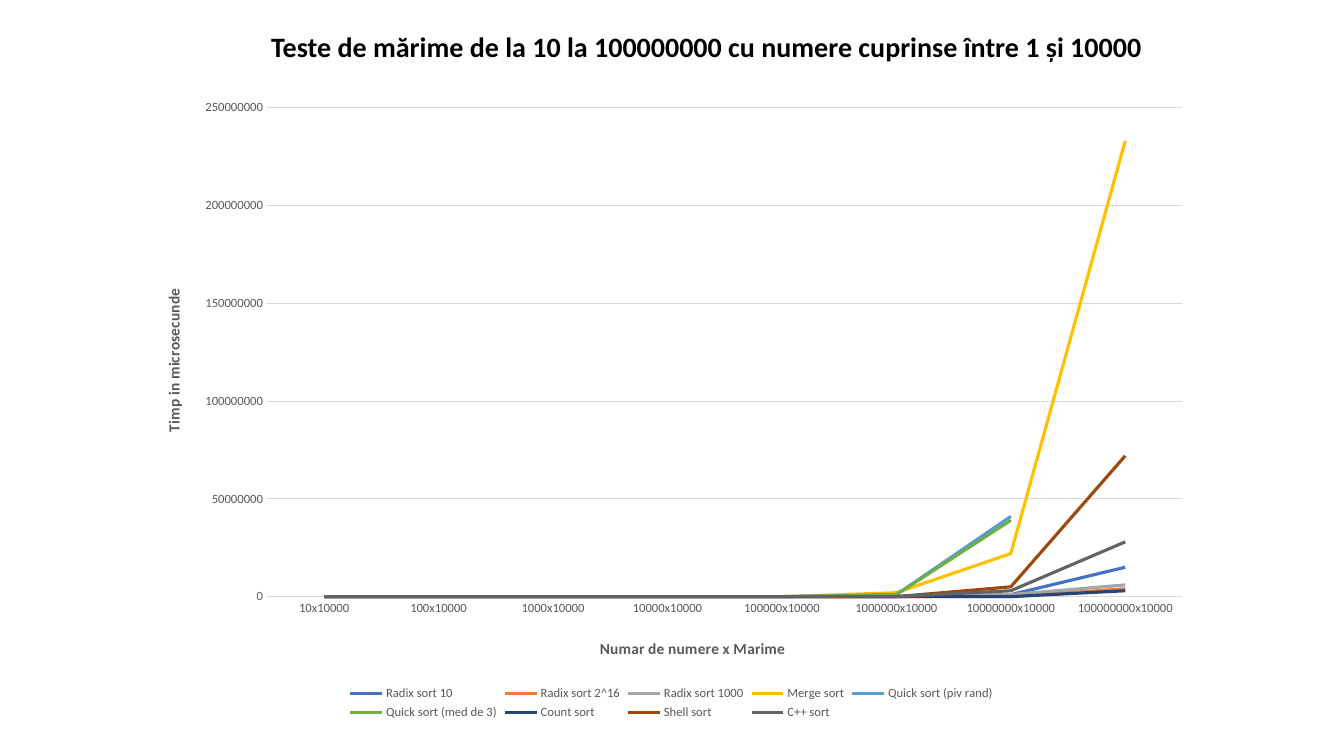
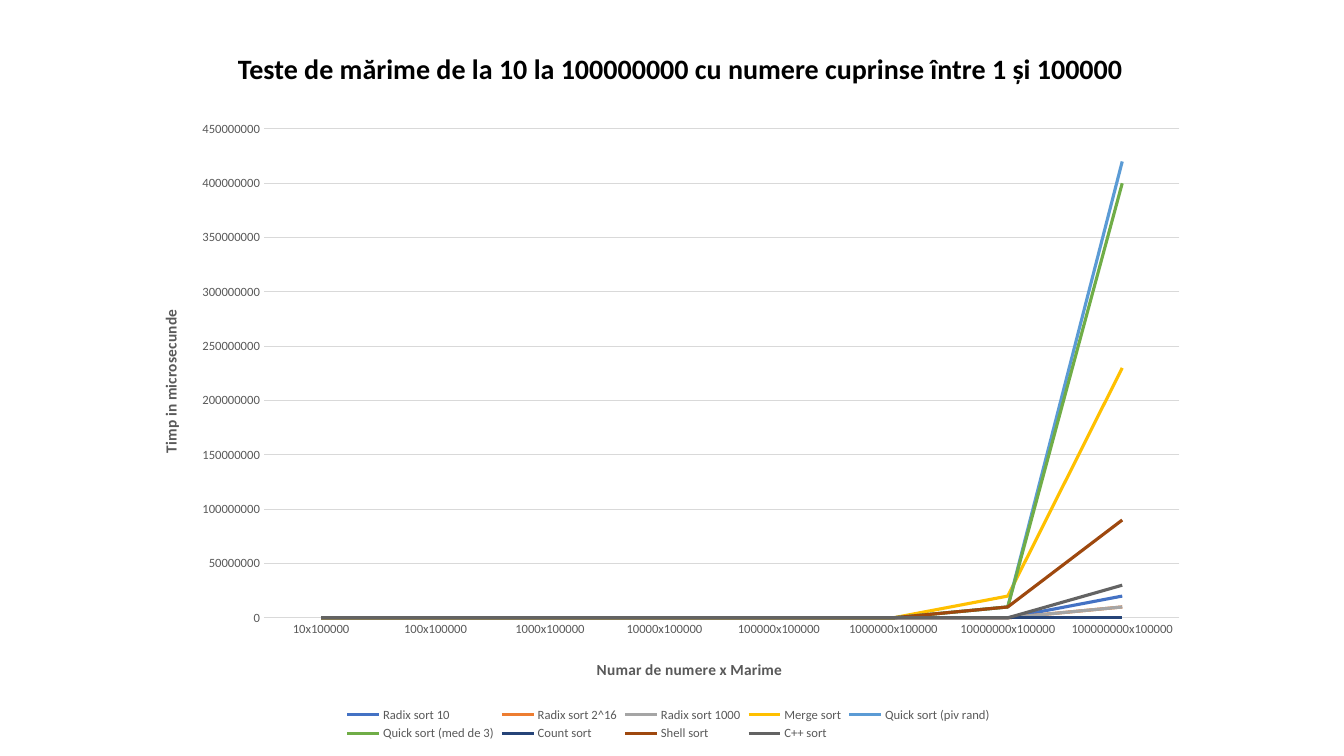
"""Build two slides of line charts comparing the running times of sorting algorithms."""
from lxml.etree import SubElement
from pptx import Presentation
from pptx.chart.data import CategoryChartData
from pptx.dml.color import RGBColor
from pptx.enum.chart import XL_CHART_TYPE, XL_LEGEND_POSITION, XL_TICK_MARK
from pptx.enum.text import MSO_ANCHOR, MSO_AUTO_SIZE, PP_ALIGN
from pptx.oxml.ns import qn
from pptx.util import Inches, Pt

FONT = "Calibri"
BLACK, GREY, GRID = "000000", "595959", "D9D9D9"
MILLION = 1000000
ALGORITHMS = [
    ("Radix sort 10", "4472C4"),
    ("Radix sort 2^16", "ED7D31"),
    ("Radix sort 1000", "A5A5A5"),
    ("Merge sort", "FFC000"),
    ("Quick sort (piv rand)", "5B9BD5"),
    ("Quick sort (med de 3)", "70AD47"),
    ("Count sort", "264478"),
    ("Shell sort", "9E480E"),
    ("C++ sort", "636363"),
]
TESTS = [
    {
        "limit": 10000,
        "title_at": (2.59, 0.24),
        "chart_at": (1.38, 0.88),
        "top": 250,
        "last_millions": [
            (0, 1, 15), (0, 0, 4), (0, 1, 6), (2, 22, 233), (1, 41, None),
            (1, 39, None), (0, 0, 3), (0, 5, 72), (0, 3, 28),
        ],
    },
    {
        "limit": 100000,
        "title_at": (2.26, 0.46),
        "chart_at": (1.35, 1.09),
        "top": 450,
        "last_millions": [
            (0, 0, 20), (0, 0, 10), (0, 0, 10), (0, 20, 230), (0, 10, 420),
            (0, 10, 400), (0, 0, 0), (0, 10, 90), (0, 0, 30),
        ],
    },
]


def style_font(font, size, color, bold=False):
    """Set the typeface, size, colour and weight of a font."""
    font.name = FONT
    font.size = Pt(size)
    font.bold = bold
    font.color.rgb = RGBColor.from_string(color)


def place_part(element, index, **fractions):
    """Fix a chart part at fractions of the chart area."""
    for old in element.findall(qn("c:layout")):
        element.remove(old)
    layout = SubElement(element, qn("c:layout"))
    element.insert(index, layout)
    manual = SubElement(layout, qn("c:manualLayout"))
    if "w" in fractions:
        SubElement(manual, qn("c:layoutTarget")).set("val", "inner")
    for name in ("xMode", "yMode"):
        SubElement(manual, qn("c:" + name)).set("val", "edge")
    for name, value in fractions.items():
        SubElement(manual, qn("c:" + name)).set("val", str(value))


deck = Presentation()
deck.slide_width, deck.slide_height = Inches(13.33), Inches(7.5)

for test in TESTS:
    page = deck.slides.add_slide(deck.slide_layouts[5])

    title = page.shapes.title
    title.left, title.top = [Inches(value) for value in test["title_at"]]
    title.width, title.height = Inches(10), Inches(0.44)
    frame = title.text_frame
    frame.word_wrap = True
    frame.auto_size = MSO_AUTO_SIZE.NONE
    frame.vertical_anchor = MSO_ANCHOR.MIDDLE
    para = frame.paragraphs[0]
    para.alignment = PP_ALIGN.LEFT
    span = para.add_run()
    span.text = f"Teste de mărime de la 10 la 100000000 cu numere cuprinse între 1 și {test['limit']}"
    style_font(span.font, 20, BLACK, True)

    data = CategoryChartData()
    data.categories = [f"{10 ** power}x{test['limit']}" for power in range(1, 9)]
    for (name, color), millions in zip(ALGORITHMS, test["last_millions"]):
        times = [None if value is None else value * MILLION for value in millions]
        data.add_series(name, [0] * 5 + times)
    left, top = test["chart_at"]
    chart = page.shapes.add_chart(
        XL_CHART_TYPE.LINE, Inches(left), Inches(top), Inches(10.56), Inches(6.3), data
    ).chart
    chart.has_title = False
    style_font(chart.font, 10, BLACK)
    chart.has_legend = True
    chart.legend.position = XL_LEGEND_POSITION.BOTTOM
    chart.legend.include_in_layout = False
    style_font(chart.legend.font, 9, GREY)

    plot = chart.plots[0]
    plot.vary_by_categories = False
    for series, (name, color) in zip(plot.series, ALGORITHMS):
        series.smooth = False
        series.format.line.width = Pt(2.25)
        series.format.line.color.rgb = RGBColor.from_string(color)

    across, upright = chart.category_axis, chart.value_axis
    for axis, text, x, y in (
        (across, "Numar de numere x Marime", 0.43, 0.86),
        (upright, "Timp in microsecunde", 0.02, 0.31),
    ):
        axis.major_tick_mark = axis.minor_tick_mark = XL_TICK_MARK.NONE
        style_font(axis.tick_labels.font, 9, GREY)
        span = axis.axis_title.text_frame.paragraphs[0].add_run()
        span.text = text
        style_font(span.font, 11, GREY, True)
        place_part(axis.axis_title._element, 1, x=x, y=y)
    upright.minimum_scale = 0
    upright.maximum_scale = test["top"] * MILLION
    upright.major_unit = 50 * MILLION
    upright.has_major_gridlines = True
    upright.format.line.fill.background()
    for line in (across.format.line, upright.major_gridlines.format.line):
        line.width = Pt(0.75)
        line.color.rgb = RGBColor.from_string(GRID)
    place_part(chart._chartSpace.chart.plotArea, 0, x=0.12, y=0.03, w=0.86, h=0.77)

deck.save("out.pptx")
